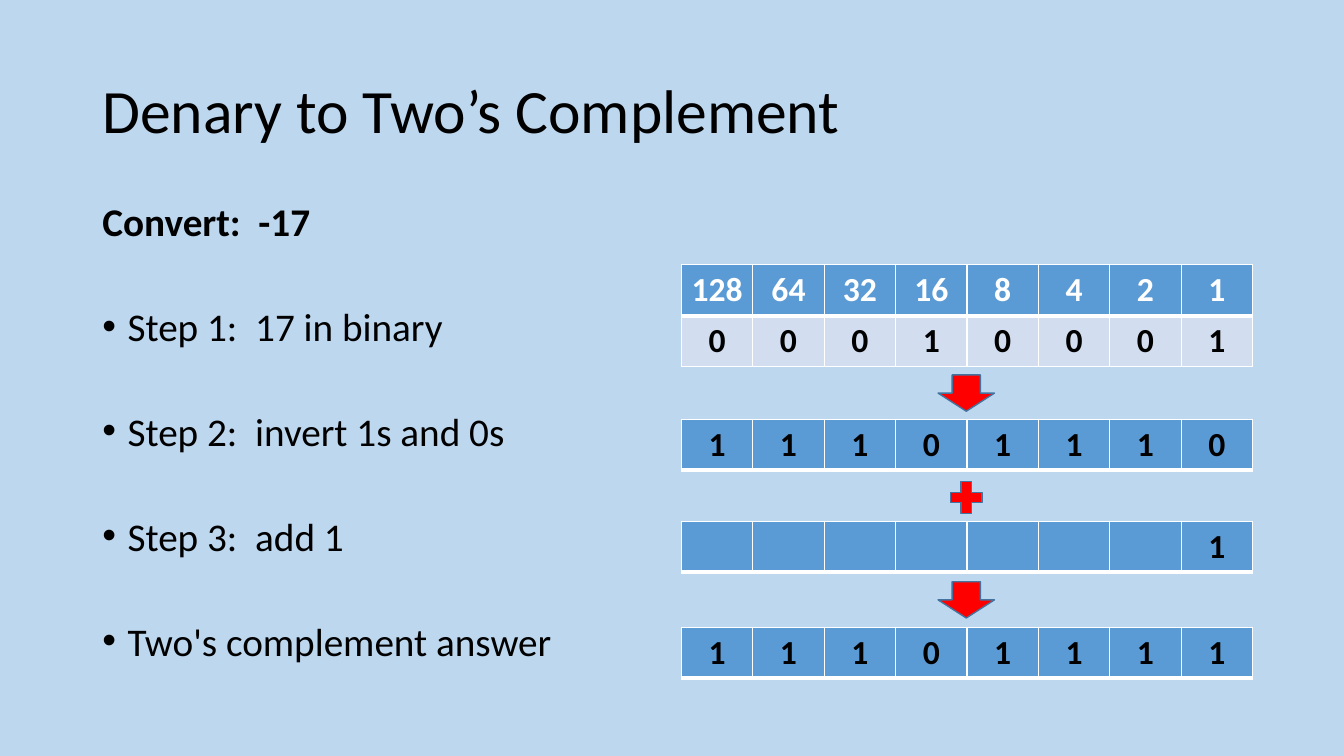
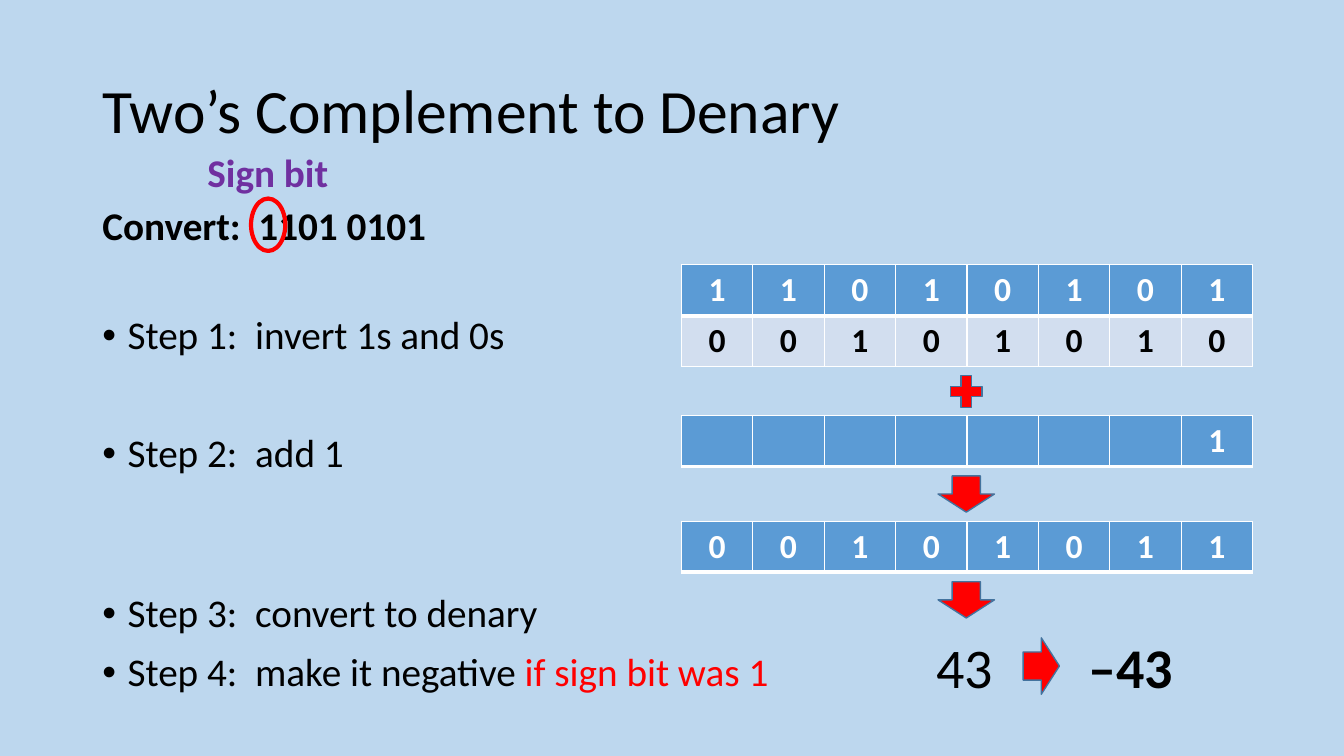
from dataclasses import dataclass
from typing import NamedTuple

from lxml.etree import SubElement
from pptx import Presentation
from pptx.dml.color import RGBColor
from pptx.enum.shapes import MSO_SHAPE
from pptx.enum.text import MSO_ANCHOR, MSO_AUTO_SIZE, PP_ALIGN
from pptx.oxml.ns import qn
from pptx.slide import Slide
from pptx.util import Emu, Inches, Pt

WIDE, HIGH = Inches(13.333), Inches(7.5)
FONT = "Calibri"
SKY, BLUE, PALE, EDGE = "BDD7EE", "5B9BD5", "D2DEEF", "43739E"
BLACK, WHITE, RED, PLUM = "000000", "FFFFFF", "FF0000", "7030A0"
LEFT, MID, SPAN, ROW = 6.88, 71.9, 42.5, 6.76
BITS = 8


class Box(NamedTuple):
    """A place in percent of the slide's width and height."""
    x: float
    y: float
    w: float
    h: float

    def emu(self) -> tuple[Emu, ...]:
        """Return the place as lengths."""
        sides = zip(self, (WIDE, HIGH, WIDE, HIGH))
        return tuple(Emu(round(part * side / 100)) for part, side in sides)


class Run(NamedTuple):
    """A stretch of text in one style."""
    text: str
    size: int = 28
    ink: str = BLACK
    bold: bool = False


class Para(NamedTuple):
    """A paragraph with its space before."""
    runs: tuple[Run, ...]
    gap: int = 0
    dot: bool = False


class Mark(NamedTuple):
    """A red sign between two grids."""
    kind: MSO_SHAPE
    box: Box
    turn: int = 0


class Grid(NamedTuple):
    """Rows of bits at a given height; an underscore is an empty cell."""
    top: float
    rows: tuple[str, ...]
    ink: str = BLACK


class Note(NamedTuple):
    """A short free label."""
    box: Box
    run: Run
    align: PP_ALIGN = PP_ALIGN.LEFT


@dataclass
class Page:
    """All that one slide shows."""
    title: str
    body: Box
    lead: float
    steps: tuple[Para, ...]
    grids: tuple[Grid, ...]
    marks: tuple[Mark, ...]
    notes: tuple[Note, ...] = ()
    ring: Box | None = None


def tint(code: str) -> RGBColor:
    """Turn a hex string into a colour."""
    return RGBColor.from_string(code)


def step(text: str, gap: int, *more: Run) -> Para:
    """Make a bulleted step."""
    return Para((Run(text), *more), gap, True)


def task(text: str) -> Para:
    """Make the bold opening line."""
    return Para((Run(text, bold=True),))


def down(top: float) -> Mark:
    """Make a down arrow on the middle line."""
    return Mark(MSO_SHAPE.DOWN_ARROW, Box(MID - 2.1, top, 4.2, 4.8))


def plus(top: float) -> Mark:
    """Make a plus sign on the middle line."""
    return Mark(MSO_SHAPE.MATH_PLUS, Box(MID - 1.61, top, 3.22, 5.73))


def write(para, runs: tuple[Run, ...]) -> None:
    """Add styled runs to a paragraph."""
    for item in runs:
        run = para.add_run()
        run.text = item.text
        run.font.name, run.font.size = FONT, Pt(item.size)
        run.font.bold, run.font.color.rgb = item.bold, tint(item.ink)


def fill_text(frame, paras: tuple[Para, ...], lead: float) -> None:
    """Fill a text frame with paragraphs."""
    for num, item in enumerate(paras):
        para = frame.add_paragraph() if num else frame.paragraphs[0]
        if item.dot:
            props = para._p.get_or_add_pPr()
            props.set("marL", str(Inches(0.25)))
            props.set("indent", str(-Inches(0.25)))
            SubElement(props, qn("a:buFont")).set("typeface", "Arial")
            SubElement(props, qn("a:buChar")).set("char", "•")
        para.line_spacing = lead
        if item.gap:
            para.space_before = Pt(item.gap)
        write(para, item.runs)


def add_text(slide: Slide, box: Box, paras: tuple[Para, ...], lead: float,
             anchor: MSO_ANCHOR = MSO_ANCHOR.TOP) -> None:
    """Add a wrapping text box."""
    frame = slide.shapes.add_textbox(*box.emu()).text_frame
    frame.word_wrap, frame.vertical_anchor = True, anchor
    fill_text(frame, paras, lead)


def add_note(slide: Slide, note: Note) -> None:
    """Add a label that grows with its text."""
    frame = slide.shapes.add_textbox(*note.box.emu()).text_frame
    frame.word_wrap, frame.auto_size = False, MSO_AUTO_SIZE.SHAPE_TO_FIT_TEXT
    frame.paragraphs[0].alignment = note.align
    write(frame.paragraphs[0], (note.run,))


def add_mark(slide: Slide, mark: Mark) -> None:
    """Add a red sign."""
    shape = slide.shapes.add_shape(mark.kind, *mark.box.emu())
    shape.shadow.inherit, shape.rotation = False, mark.turn
    shape.fill.solid()
    shape.fill.fore_color.rgb = tint(RED)
    shape.line.color.rgb, shape.line.width = tint(EDGE), Pt(1)


def add_ring(slide: Slide, box: Box) -> None:
    """Circle the sign bit."""
    ring = slide.shapes.add_shape(MSO_SHAPE.OVAL, *box.emu())
    ring.shadow.inherit = False
    ring.fill.background()
    ring.line.color.rgb, ring.line.width = tint(RED), Pt(3)


def rule(cell, first: bool) -> None:
    """Draw white cell borders, thick below the first row."""
    props = cell._tc.get_or_add_tcPr()
    widths = {"L": 1, "R": 1, "T": 1 if first else 3, "B": 3 if first else 1}
    for side, width in widths.items():
        line = SubElement(props, qn(f"a:ln{side}"), w=str(Pt(width)))
        paint = SubElement(line, qn("a:solidFill"))
        SubElement(paint, qn("a:srgbClr")).set("val", WHITE)


def add_grid(slide: Slide, grid: Grid) -> None:
    """Add a table of bits."""
    count = len(grid.rows)
    box = Box(MID + 0.05 - SPAN / 2, grid.top, SPAN, ROW * count)
    table = slide.shapes.add_table(count, BITS, *box.emu()).table
    table.first_row = table.horz_banding = False
    for row, line in enumerate(grid.rows):
        for col, bit in enumerate(line.split()):
            cell = table.cell(row, col)
            cell.margin_left = cell.margin_right = Inches(0.05)
            rule(cell, row == 0)
            cell.fill.solid()
            cell.fill.fore_color.rgb = tint(PALE if row else BLUE)
            if bit != "_":
                para = cell.text_frame.paragraphs[0]
                para.alignment = PP_ALIGN.CENTER
                write(para, (Run(bit, 24, BLACK if row else grid.ink, True),))


def add_page(deck, page: Page) -> None:
    """Build one slide."""
    slide = deck.slides.add_slide(deck.slide_layouts[6])
    head = Para((Run(page.title, 44),))
    add_text(slide, Box(LEFT, 5.33, 86.25, 19.33), (head,), 0.9,
             MSO_ANCHOR.MIDDLE)
    add_text(slide, page.body, page.steps, page.lead)
    for grid in page.grids:
        add_grid(slide, grid)
    for mark in page.marks:
        add_mark(slide, mark)
    if page.ring:
        add_ring(slide, page.ring)
    for note in page.notes:
        add_note(slide, note)


PAGES = (
    Page(
        "Denary to Two’s Complement", Box(LEFT, 26.67, SPAN, 63.5), 0.8,
        (task("Convert:  -17"),
         step("Step 1:  17 in binary", 48),
         step("Step 2:  invert 1s and 0s", 48),
         step("Step 3:  add 1", 48),
         step("Two's complement answer", 48)),
        (Grid(35, ("128 64 32 16 8 4 2 1", "0 0 0 1 0 0 0 1"), WHITE),
         Grid(55.45, ("1 1 1 0 1 1 1 0",)),
         Grid(68.95, ("_ _ _ _ _ _ _ 1",)),
         Grid(82.95, ("1 1 1 0 1 1 1 1",))),
        (down(49.6), plus(62.95), down(76.95)),
    ),
    Page(
        "Two’s Complement to Denary", Box(LEFT, 26.67, 53.1, 70.1), 0.9,
        (task("Convert:  1101 0101"),
         step("Step 1:  invert 1s and 0s", 48),
         step("Step 2:  add 1", 54),
         step("Step 3:  convert to denary", 84),
         step("Step 4:  make it negative ", 12,
              Run("if sign bit was 1", ink=RED))),
        (Grid(35, ("1 1 0 1 0 1 0 1", "0 0 1 0 1 0 1 0"), WHITE),
         Grid(54.95, ("_ _ _ _ _ _ _ 1",), WHITE),
         Grid(68.95, ("0 0 1 0 1 0 1 1",), WHITE)),
        (plus(48.95), down(62.95), down(76.95),
         Mark(MSO_SHAPE.DOWN_ARROW, Box(75.38, 85.7, 4.2, 4.8), 270)),
        (Note(Box(68.93, 82.95, 5.78, 10.27), Run("43", 40)),
         Note(Box(80.25, 82.95, 7.88, 10.27), Run("–43", 40, bold=True)),
         Note(Box(14.63, 18.93, 10.58, 7.6),
              Run("Sign bit", ink=PLUM, bold=True), PP_ALIGN.CENTER)),
        Box(18.68, 26.27, 2.55, 6.93),
    ),
)


def main() -> None:
    """Build and save the deck."""
    deck = Presentation()
    deck.slide_width, deck.slide_height = WIDE, HIGH
    back = deck.slide_master.background.fill
    back.solid()
    back.fore_color.rgb = tint(SKY)
    for page in PAGES:
        add_page(deck, page)
    deck.save("out.pptx")


if __name__ == "__main__":
    main()
